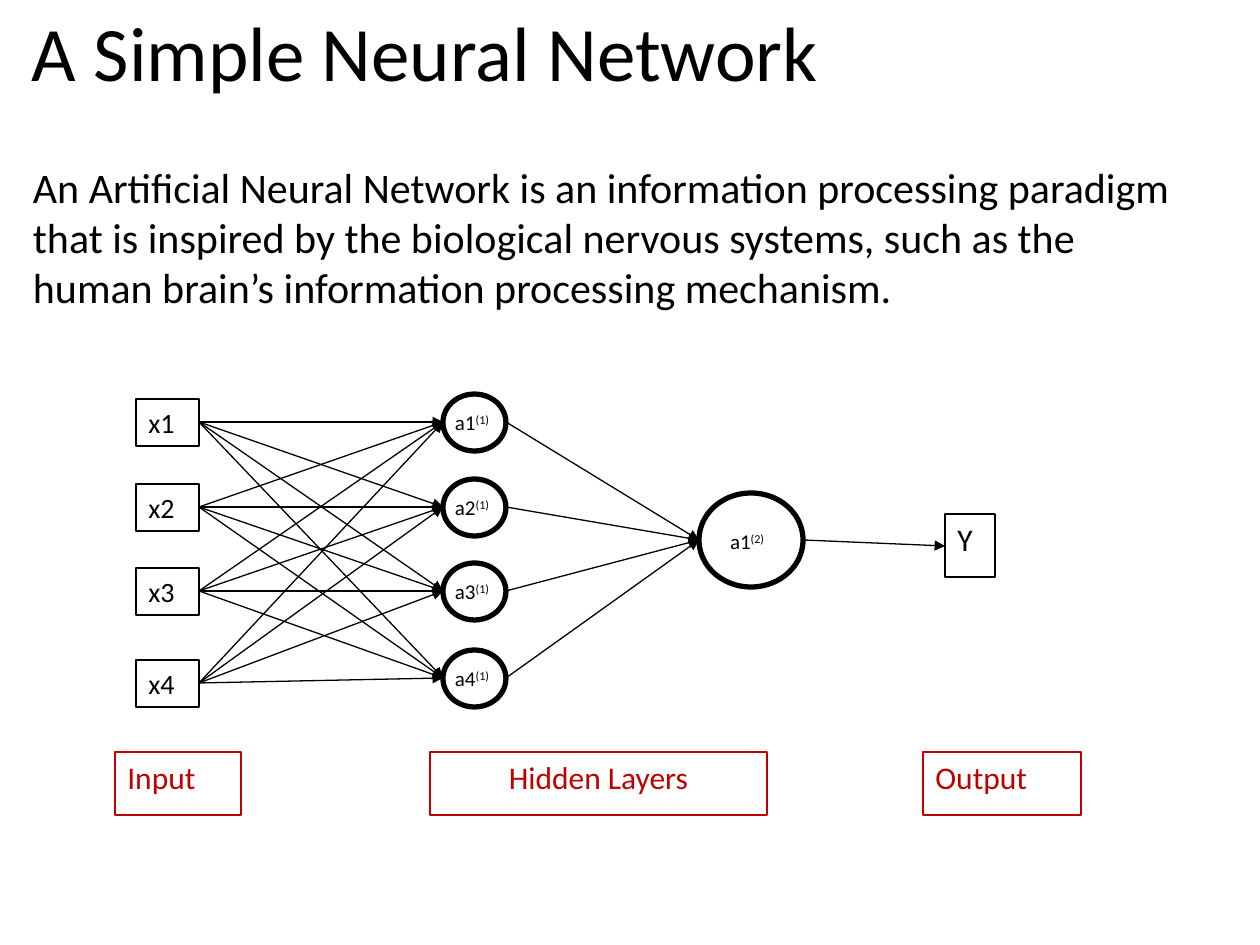
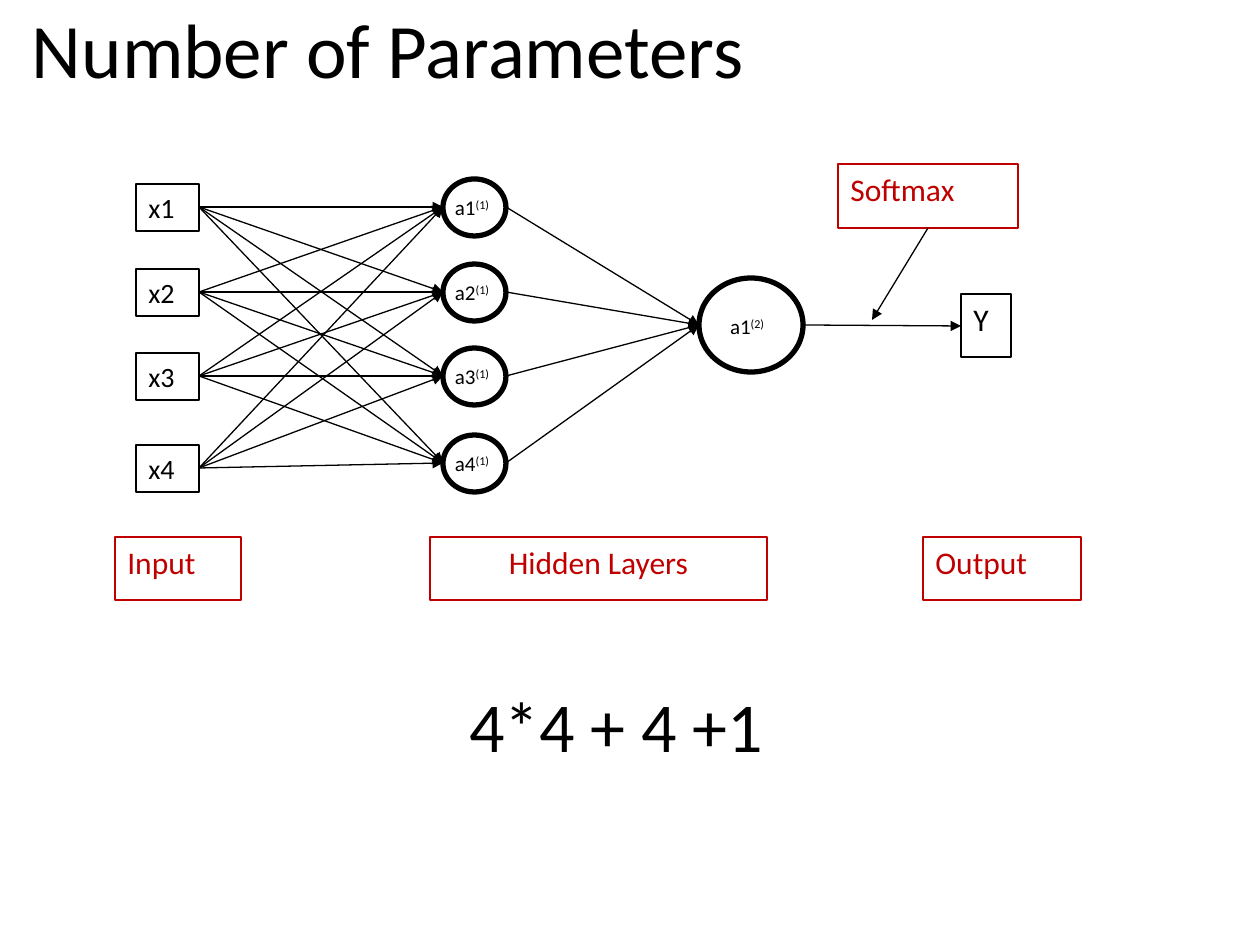
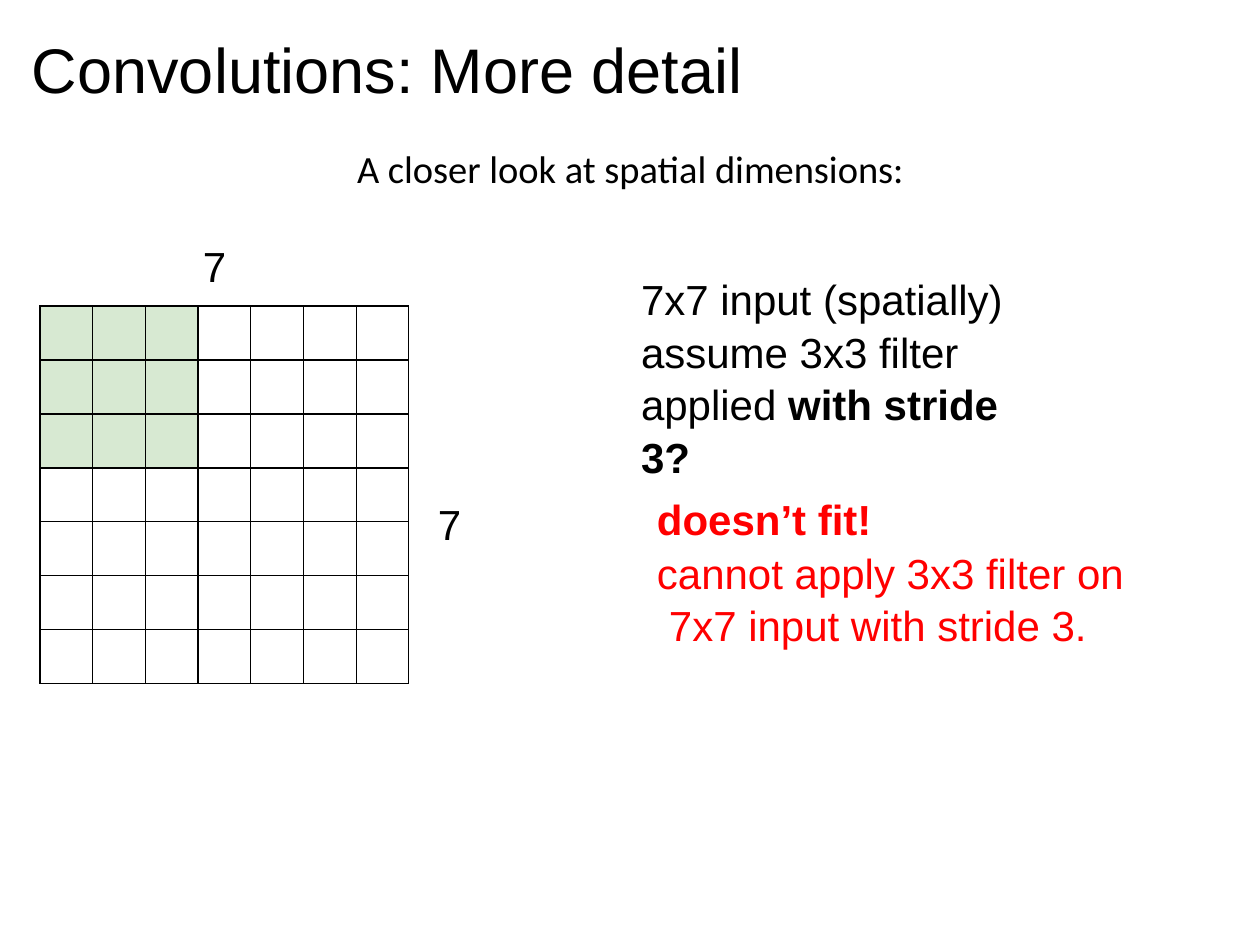
import pptx
import pptx.dml.color
import pptx.enum.shapes
import pptx.enum.text
import pptx.oxml.ns
import pptx.util
from lxml import etree

PX = pptx.util.Inches(1) / 126
BLACK, CRIMSON, RED, GREEN = "000000", "C00000", "FF0000", "D7E9D2"
SHAPE = pptx.enum.shapes.MSO_SHAPE
ALIGN = pptx.enum.text.PP_ALIGN


def emu(px):
    """Turn px into EMU."""
    return round(px * PX)


def rgb(code):
    """Turn a hex string into a colour."""
    return pptx.dml.color.RGBColor.from_string(code)


def sub(parent, tag, **attrs):
    """Append a drawing element to its parent."""
    return etree.SubElement(parent, pptx.oxml.ns.qn(tag), **attrs)


class Deck:
    """Holds the style and the current slide."""

    def __init__(self):
        """Start an empty deck of 10 by 7.5 inches."""
        self.prs = pptx.Presentation()
        self.prs.slide_width = emu(1260)
        self.prs.slide_height = emu(945)

    def add_slide(self):
        """Make a new blank slide current."""
        self.shapes = self.prs.slides.add_slide(self.prs.slide_layouts[6]).shapes

    def paragraph(self, p, text, size, font="Calibri", color=BLACK, align=ALIGN.LEFT,
                  bold="", sup=""):
        """Fill a paragraph, with optional bold and superscript endings."""
        p.text = text
        p.alignment = align
        for ending in filter(None, (bold, sup)):
            p.add_run().text = ending
        for r in p.runs:
            r.font.size = pptx.util.Pt(size)
            r.font.name = font
            r.font.color.rgb = rgb(color)
            r.font.bold = bool(bold) and r.text == bold
        if sup:
            p.runs[-1].font._element.set("baseline", "30000")

    def text(self, x, y, w, h, text, size, inset=0, **style):
        """Add a wrapping text box."""
        tf = self.shapes.add_textbox(emu(x), emu(y), emu(w), emu(h)).text_frame
        tf.word_wrap = True
        tf.margin_left = tf.margin_right = emu(inset)
        tf.margin_top = tf.margin_bottom = emu(inset / 2)
        self.paragraph(tf.paragraphs[0], text, size, **style)
        return tf

    def title(self, y, text, size=44, font="Calibri"):
        """Add the slide title."""
        self.text(32, y, 1071, 110, text, size, font=font)

    def shape(self, kind, x, y, w, h, color=BLACK, weight=1):
        """Add an outlined shape without fill."""
        sp = self.shapes.add_shape(kind, emu(x), emu(y), emu(w), emu(h))
        sp.shadow.inherit = False
        sp.fill.background()
        sp.line.color.rgb = rgb(color)
        sp.line.width = pptx.util.Pt(weight)
        return sp

    def box(self, x, y, w, h, text, size=18, color=BLACK, align=ALIGN.LEFT):
        """Add an outlined box with text at its top."""
        tf = self.shape(SHAPE.RECTANGLE, x, y, w, h, color).text_frame
        tf.word_wrap = True
        tf.vertical_anchor = pptx.enum.text.MSO_ANCHOR.TOP
        self.paragraph(tf.paragraphs[0], text, size, color=color, align=align)

    def arrow(self, x1, y1, x2, y2):
        """Add a thin arrow."""
        cxn = self.shapes.add_connector(
            pptx.enum.shapes.MSO_CONNECTOR.STRAIGHT, emu(x1), emu(y1), emu(x2), emu(y2))
        cxn.line.color.rgb = rgb(BLACK)
        cxn.line.width = pptx.util.Pt(0.75)
        sub(cxn.line._get_or_add_ln(), "a:tailEnd", type="triangle")
        sub(cxn._element.spPr, "a:effectLst")

    def grid(self, x, y, w, h, count, marked):
        """Add a square table with its first marked rows and columns filled."""
        table = self.shapes.add_table(count, count, emu(x), emu(y), emu(w), emu(h)).table
        table.first_row = table.horz_banding = False
        for row in range(count):
            for col in range(count):
                cell = table.cell(row, col)
                tcPr = cell._tc.get_or_add_tcPr()
                for side in ("a:lnL", "a:lnR", "a:lnT", "a:lnB"):
                    ln = sub(tcPr, side, w=str(pptx.util.Pt(0.75)))
                    sub(sub(ln, "a:solidFill"), "a:srgbClr", val=BLACK)
                if max(row, col) < marked:
                    cell.fill.solid()
                    cell.fill.fore_color.rgb = rgb(GREEN)
                else:
                    cell.fill.background()

    def network(self, top, output_x, output_y):
        """Draw the network from its first hidden node's top downwards."""
        input_mids = [top + dy for dy in (29, 114, 198, 290)]
        node_mids = [top + dy for dy in (29, 114, 198, 285)]
        hub_mid = top + 147
        for i, (input_mid, node_mid) in enumerate(zip(input_mids, node_mids), 1):
            self.box(136, input_mid - 23, 63, 47, f"x{i}", 16)
            self.shape(SHAPE.OVAL, 443, node_mid - 28, 63, 57, weight=3)
            self.text(443, node_mid - 18, 82, 38, f"a{i}", 12, inset=12, sup="(1)")
            self.arrow(506, node_mid, 699, hub_mid)
            for target_mid in node_mids:
                self.arrow(199, input_mid, 443, target_mid)
        self.shape(SHAPE.OVAL, 699, hub_mid - 47, 104, 94, weight=3)
        self.text(718, hub_mid - 17, 82, 38, "a1", 12, inset=12, sup="(2)")
        self.box(output_x, output_y, 50, 63, "Y")
        self.arrow(803, hub_mid, output_x, output_y + 32)
        for x, w, label, align in ((115, 126, "Input", ALIGN.LEFT),
                                   (430, 337, "Hidden Layers", ALIGN.CENTER),
                                   (923, 158, "Output", ALIGN.LEFT)):
            self.box(x, top + 359, w, 63, label, color=CRIMSON, align=align)


def simple_network(deck):
    """Build the slide that introduces the network."""
    deck.add_slide()
    deck.title(4, "A Simple Neural Network")
    deck.text(33, 161, 1144, 160,
              "An Artificial Neural Network is an information processing paradigm that is "
              "inspired by the biological nervous systems, such as the human brain’s "
              "information processing mechanism.", 24)
    deck.network(393, 945, 514)


def parameters(deck):
    """Build the slide that counts the parameters."""
    deck.add_slide()
    deck.title(2, "Number of Parameters")
    deck.text(53, 683, 1126, 158, "4*4 + 4 +1", 40, align=ALIGN.CENTER)
    deck.network(178, 961, 294)
    deck.box(838, 164, 180, 64, "Softmax", color=CRIMSON)
    deck.arrow(928, 228, 872, 320)


def convolutions(deck):
    """Build the slide on filter sizes and stride."""
    deck.add_slide()
    deck.title(30, "Convolutions: More detail", 36, "Arial")
    deck.text(357, 145, 560, 50, "A closer look at spatial dimensions:", 22)
    for x, y in ((203, 240), (438, 498)):
        deck.text(x, y, 26, 54, "7", 24, font="Arial")
    deck.grid(40, 306, 369, 378, 7, 3)
    tf = deck.text(641, 272, 400, 200, "7x7 input (spatially) assume 3x3 filter applied ",
                   24, font="Arial", bold="with stride 3?")
    tf.paragraphs[0].line_spacing = 1.04
    tf = deck.text(657, 493, 480, 158, "", 24, font="Arial", color=RED, bold="doesn’t fit!")
    p = tf.add_paragraph()
    deck.paragraph(p, "cannot apply 3x3 filter on 7x7 input with stride 3.", 24,
                   font="Arial", color=RED)
    p.line_spacing = 1.04
    p.space_before = pptx.util.Pt(1)
    pPr = p._p.get_or_add_pPr()
    pPr.set("marL", str(emu(12)))
    pPr.set("indent", str(emu(-12)))


def main():
    """Build and save the deck."""
    deck = Deck()
    for build in (simple_network, parameters, convolutions):
        build(deck)
    deck.prs.save("out.pptx")


if __name__ == "__main__":
    main()
